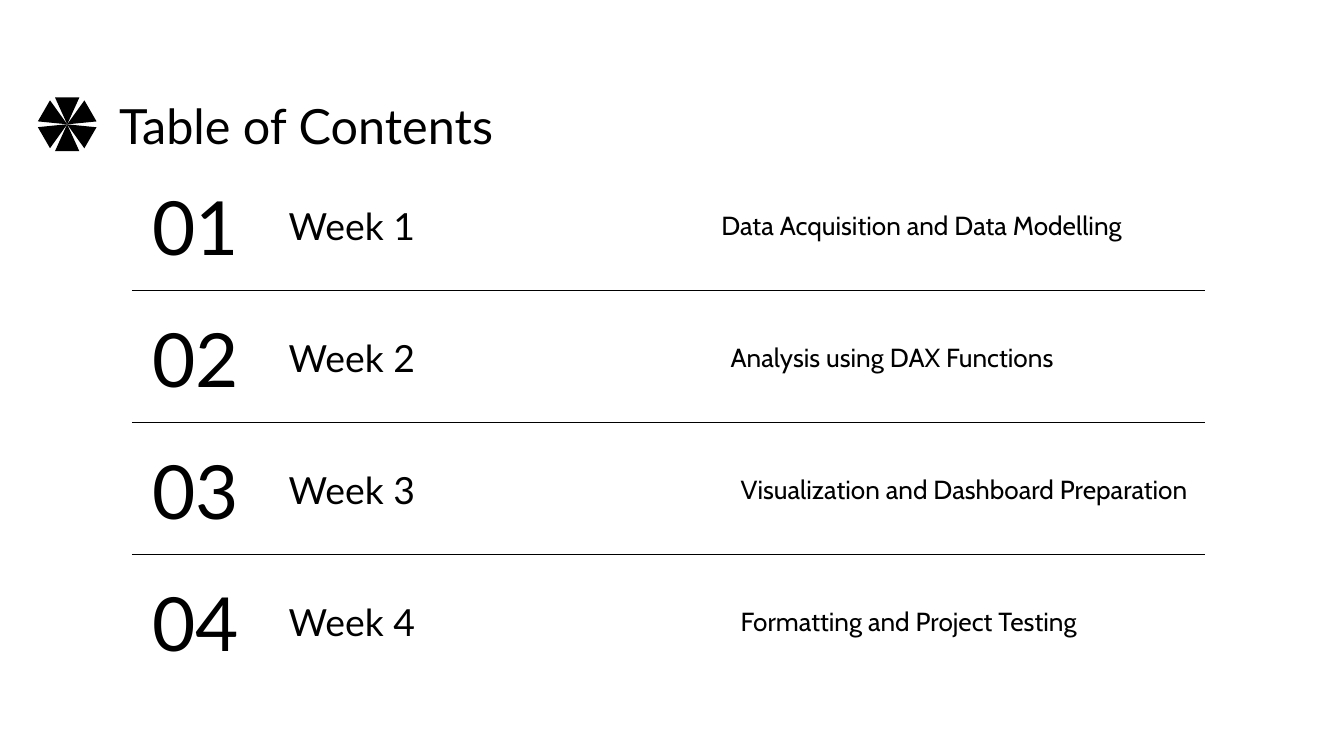
from dataclasses import dataclass
from math import cos, radians, sin

from lxml.etree import SubElement
from pptx import Presentation
from pptx.dml.color import RGBColor
from pptx.enum.shapes import MSO_CONNECTOR, MSO_SHAPE
from pptx.enum.text import MSO_ANCHOR, PP_ALIGN
from pptx.oxml.ns import qn
from pptx.util import Emu, Pt

PX = 5715


@dataclass(frozen=True)
class Theme:
    """Colours, fonts and type sizes of the slide."""

    ink: RGBColor = RGBColor(0, 0, 0)
    paper: RGBColor = RGBColor(255, 255, 255)
    heading_font: str = "Lato"
    body_font: str = "Cabin"
    title_size: int = 26
    number_size: int = 40
    week_size: int = 20
    topic_size: int = 14
    rule_width: float = 0.75


@dataclass(frozen=True)
class Box:
    """A rectangle in px."""

    left: float
    top: float
    width: float
    height: float

    def inner(self, left, top, width, height):
        """Return a box placed relative to this one."""
        return Box(self.left + left, self.top + top, width, height)

    def emu(self):
        """Return the four lengths in EMU."""
        return [px(v) for v in (self.left, self.top, self.width, self.height)]


THEME = Theme()
ENTRIES = [
    ("Week 1", "Data Acquisition and Data Modelling", 686, 598, PP_ALIGN.JUSTIFY),
    ("Week 2", "Analysis using DAX Functions", 697, 598, PP_ALIGN.JUSTIFY),
    ("Week 3", "Visualization and Dashboard Preparation", 709, 587, PP_ALIGN.LEFT),
    ("Week 4", "Formatting and Project Testing", 709, 587, PP_ALIGN.LEFT),
]


def px(length):
    """Turn px into EMU."""
    return Emu(round(length * PX))


def add_text(page, box, text, size, font=THEME.heading_font,
             align=PP_ALIGN.LEFT, anchor=MSO_ANCHOR.MIDDLE):
    """Add one line of text in a box."""
    frame = page.shapes.add_textbox(*box.emu()).text_frame
    frame.word_wrap = True
    frame.vertical_anchor = anchor
    frame.margin_left = frame.margin_right = px(16)
    frame.margin_top = frame.margin_bottom = px(16)
    frame.text = text
    para = frame.paragraphs[0]
    para.alignment = align
    span = para.runs[0]
    span.font.name = font
    span.font.size = Pt(size)
    span.font.color.rgb = THEME.ink


def add_rule(page, box):
    """Draw a thin line along the bottom of a box."""
    bottom = px(box.top + box.height)
    rule = page.shapes.add_connector(
        MSO_CONNECTOR.STRAIGHT, px(box.left), bottom, px(box.left + box.width), bottom)
    rule.line.color.rgb = THEME.ink
    rule.line.width = Pt(THEME.rule_width)
    SubElement(rule._element.spPr, qn("a:effectLst"))


def add_star(page, box):
    """Draw six triangles whose tips meet in the centre of a box."""
    group = page.shapes.add_group_shape()
    width, height = 29, 32
    for angle in range(0, 360, 60):
        middle_left = box.width / 2 - height / 2 * sin(radians(angle))
        middle_top = box.height / 2 + height / 2 * cos(radians(angle))
        place = box.inner(middle_left - width / 2, middle_top - height / 2, width, height)
        petal = group.shapes.add_shape(MSO_SHAPE.ISOSCELES_TRIANGLE, *place.emu())
        petal.rotation = angle
        petal.shadow.inherit = False
        petal.fill.solid()
        petal.fill.fore_color.rgb = THEME.ink
        petal.line.fill.background()


def add_header(page, box):
    """Place the star and the slide title."""
    add_text(page, box.inner(78, 0, 1349, 101), "Table of Contents",
             THEME.title_size, anchor=MSO_ANCHOR.TOP)
    add_star(page, box.inner(0, 18, 64, 64))


def add_entry(page, box, number, entry):
    """Place the number, week and topic of one entry."""
    week, topic, topic_left, topic_width, align = entry
    add_text(page, box.inner(8, 0, 136, 133), f"{number:02}",
             THEME.number_size, align=PP_ALIGN.CENTER)
    add_text(page, box.inner(171, 32, 678, 69), week, THEME.week_size)
    add_text(page, box.inner(topic_left, 16, topic_width, 101), topic,
             THEME.topic_size, THEME.body_font, align)


def add_contents(page, box):
    """Stack the entries at an equal pitch with rules between them."""
    pitch = 157
    for index, entry in enumerate(ENTRIES):
        row = box.inner(0, index * pitch, box.width, 144)
        add_entry(page, row, index + 1, entry)
        if index < len(ENTRIES) - 1:
            add_rule(page, row)


def main():
    """Build and save the deck."""
    deck = Presentation()
    deck.slide_width, deck.slide_height = px(1600), px(900)
    page = deck.slides.add_slide(deck.slide_layouts[6])
    page.background.fill.solid()
    page.background.fill.fore_color.rgb = THEME.paper
    add_header(page, Box(48, 98, 1427, 101))
    add_contents(page, Box(157, 202, 1278, 615))
    deck.save("out.pptx")


if __name__ == "__main__":
    main()
